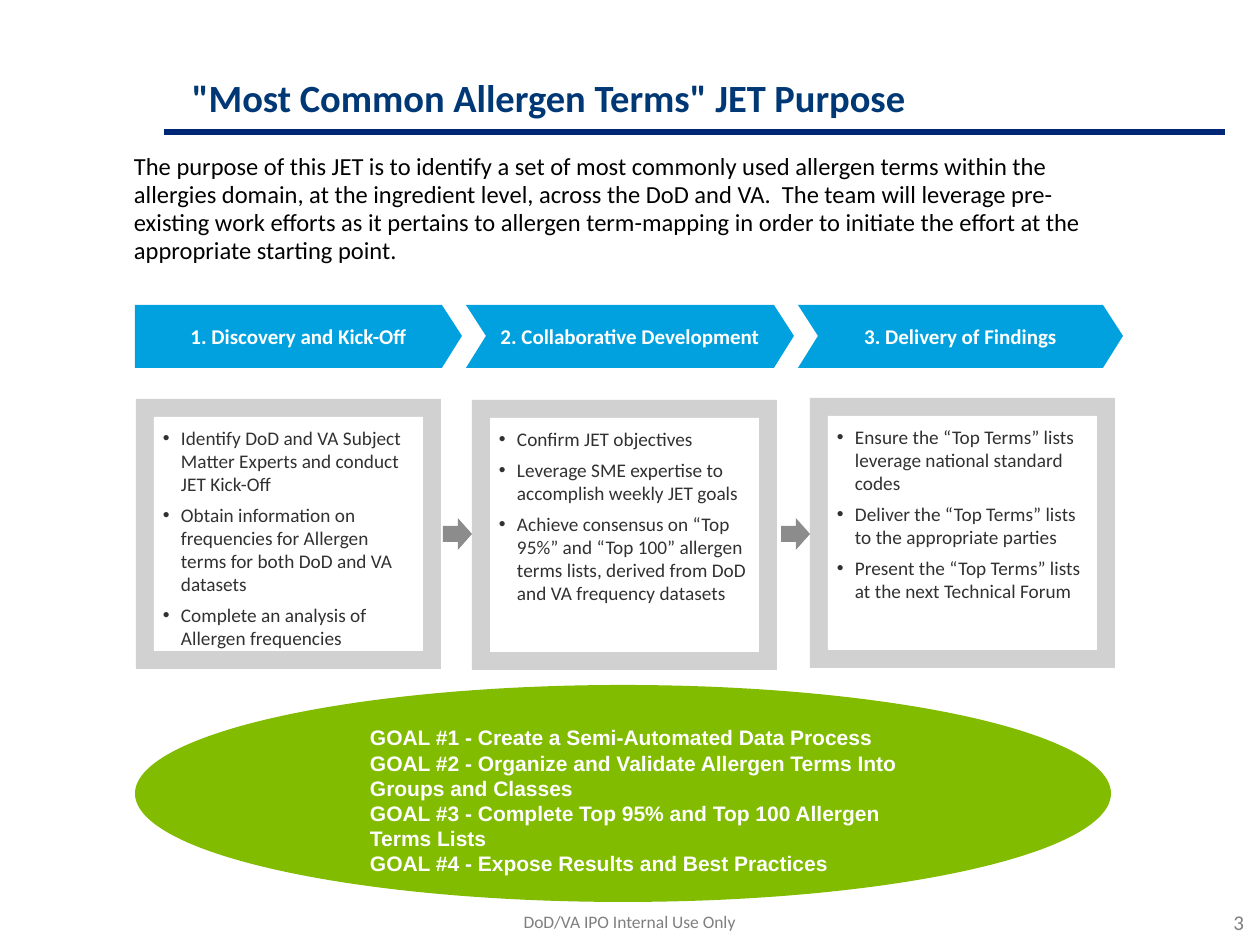
from lxml import etree
from pptx import Presentation
from pptx.dml.color import RGBColor
from pptx.enum.shapes import MSO_CONNECTOR, MSO_SHAPE
from pptx.enum.text import MSO_ANCHOR, PP_ALIGN
from pptx.oxml.ns import qn
from pptx.util import Pt

LEFT, CENTER, RIGHT = PP_ALIGN.LEFT, PP_ALIGN.CENTER, PP_ALIGN.RIGHT
TOP, MIDDLE, BOTTOM = MSO_ANCHOR.TOP, MSO_ANCHOR.MIDDLE, MSO_ANCHOR.BOTTOM
RECTANGLE, OVAL, ARROW = MSO_SHAPE.RECTANGLE, MSO_SHAPE.OVAL, MSO_SHAPE.RIGHT_ARROW

COLORS = {
    "rule": "002776", "title": "003876", "black": "000000", "white": "FFFFFF",
    "step": "00A1DE", "frame": "D1D1D1", "bullet": "313131",
    "arrow": "8C8C8C", "goal": "81BC00", "footer": "7F7F7F",
}

TITLE = '"Most Common Allergen Terms" JET Purpose'
PURPOSE = (
    "The purpose of this JET is to identify a set of most commonly used allergen terms "
    "within the allergies domain, at the ingredient level, across the DoD and VA.  The team "
    "will leverage pre-existing work efforts as it pertains to allergen term-mapping in order "
    "to initiate the effort at the appropriate starting point."
)
STEPS = [
    {"heading": "1. Discovery and Kick-Off", "chevron": (135, 327), "panel": (136, 399),
     "bullets": ["Identify DoD and VA Subject Matter Experts and conduct JET Kick-Off",
                 "Obtain information on frequencies for Allergen terms for both DoD and VA datasets",
                 "Complete an analysis of Allergen frequencies"]},
    {"heading": "2. Collaborative Development", "chevron": (466, 328), "panel": (472, 400),
     "bullets": ["Confirm JET objectives",
                 "Leverage SME expertise to accomplish weekly JET goals",
                 "Achieve consensus on “Top 95%” and “Top 100” allergen terms lists, "
                 "derived from DoD and VA frequency datasets"]},
    {"heading": "3. Delivery of Findings", "chevron": (798, 325), "panel": (810, 398),
     "bullets": ["Ensure the “Top Terms” lists leverage national standard codes",
                 "Deliver the “Top Terms” lists to the appropriate parties",
                 "Present the “Top Terms” lists at the next Technical Forum"]},
]
GOALS = [
    "GOAL #1 - Create a Semi-Automated Data Process",
    "GOAL #2 - Organize and Validate Allergen Terms Into Groups and Classes",
    "GOAL #3 - Complete Top 95% and Top 100 Allergen Terms Lists",
    "GOAL #4 - Expose Results and Best Practices",
]
FOOTER, PAGE = "DoD/VA IPO Internal Use Only", "3"

EMU_PER_PX = 914400 / 126
CHEVRON_TOP, CHEVRON_HEIGHT, CHEVRON_POINT = 305, 63, 20
PANEL_WIDTH, PANEL_HEIGHT, PANEL_BORDER = 305, 270, 18
ARROW_TOP, ARROW_WIDTH, ARROW_HEIGHT = 518, 29, 32
BULLET_INDENT = 18


def px(length):
    return round(length * EMU_PER_PX)


def color(name):
    return RGBColor.from_string(COLORS[name])


def paint(shape, fill):
    shape.shadow.inherit = False
    shape.fill.solid()
    shape.fill.fore_color.rgb = color(fill)
    shape.line.fill.background()
    return shape


def add_block(shapes, kind, box, fill):
    return paint(shapes.add_shape(kind, *map(px, box)), fill)


def add_bullet(paragraph):
    properties = paragraph._p.get_or_add_pPr()
    properties.set("marL", str(px(BULLET_INDENT)))
    properties.set("indent", str(-px(BULLET_INDENT)))
    etree.SubElement(properties, qn("a:buFont"), typeface="Arial")
    etree.SubElement(properties, qn("a:buChar"), char="•")


def write(shape, lines, size, ink, bold=False, font="Calibri", align=LEFT, anchor=TOP,
          insets=(13, 6, 13, 6), spacing=None, gap=0, bulleted=False):
    """Fill a shape with one paragraph per line; insets are left, top, right, bottom."""
    frame = shape.text_frame
    frame.word_wrap = True
    frame.vertical_anchor = anchor
    (frame.margin_left, frame.margin_top,
     frame.margin_right, frame.margin_bottom) = map(px, insets)
    for index, line in enumerate(lines):
        paragraph = frame.add_paragraph() if index else frame.paragraphs[0]
        paragraph.text = line
        if bulleted:
            add_bullet(paragraph)
        paragraph.alignment = align
        if spacing:
            paragraph.line_spacing = spacing
        if index and gap:
            paragraph.space_before = Pt(gap)
        paragraph.font.name = font
        paragraph.font.size = Pt(size)
        paragraph.font.bold = bold
        paragraph.font.color.rgb = color(ink)


def add_text(shapes, box, lines, size, ink, **style):
    write(shapes.add_textbox(*map(px, box)), lines, size, ink, **style)


def add_chevron(shapes, left, width, notched):
    right, bottom = left + width, CHEVRON_TOP + CHEVRON_HEIGHT
    middle = CHEVRON_TOP + CHEVRON_HEIGHT / 2
    points = [(right - CHEVRON_POINT, CHEVRON_TOP), (right, middle),
              (right - CHEVRON_POINT, bottom), (left, bottom)]
    if notched:
        points.append((left + CHEVRON_POINT, middle))
    builder = shapes.build_freeform(left, CHEVRON_TOP, scale=EMU_PER_PX)
    builder.add_line_segments(points, close=True)
    return paint(builder.convert_to_shape(), "step")


def add_step(shapes, index, step):
    chevron = add_chevron(shapes, *step["chevron"], notched=index > 0)
    write(chevron, [step["heading"]], 12, "white", bold=True, align=CENTER,
          anchor=MIDDLE, insets=(9, 9, 9, 9))

    left, top = step["panel"]
    add_block(shapes, RECTANGLE, (left, top, PANEL_WIDTH, PANEL_HEIGHT), "frame")
    inner = (left + PANEL_BORDER, top + PANEL_BORDER,
             PANEL_WIDTH - 2 * PANEL_BORDER, PANEL_HEIGHT - 2 * PANEL_BORDER)
    write(add_block(shapes, RECTANGLE, inner, "white"), step["bullets"], 11, "bullet",
          insets=(9, 9, 9, 9), gap=4.5, bulleted=True)

    if index:
        arrow = add_block(shapes, ARROW,
                          (left - ARROW_WIDTH, ARROW_TOP, ARROW_WIDTH, ARROW_HEIGHT), "arrow")
        arrow.adjustments[1] = 0.49


def main():
    presentation = Presentation()
    presentation.slide_width, presentation.slide_height = px(1260), px(945)
    shapes = presentation.slides.add_slide(presentation.slide_layouts[6]).shapes

    rule = shapes.add_connector(MSO_CONNECTOR.STRAIGHT, px(164), px(132), px(1225), px(132))
    rule.line.color.rgb = color("rule")
    rule.line.width = Pt(3)
    etree.SubElement(rule._element.spPr, qn("a:effectLst"))

    add_text(shapes, (179, 1, 1032, 126), [TITLE], 22, "title",
             bold=True, anchor=BOTTOM, spacing=0.9)
    add_text(shapes, (121, 147, 1018, 152), [PURPOSE], 14, "black", spacing=0.95)

    for index, step in enumerate(STEPS):
        add_step(shapes, index, step)

    add_block(shapes, OVAL, (135, 685, 976, 217), "goal")
    add_text(shapes, (357, 693, 577, 239), GOALS, 12, "white",
             bold=True, font="Arial", insets=(13, 32, 13, 6))

    add_text(shapes, (77, 905, 1105, 38), [FOOTER], 10, "footer", align=CENTER)
    add_text(shapes, (1152, 902, 105, 39), [PAGE], 12, "footer", align=RIGHT, anchor=BOTTOM)

    presentation.save("out.pptx")


if __name__ == "__main__":
    main()
